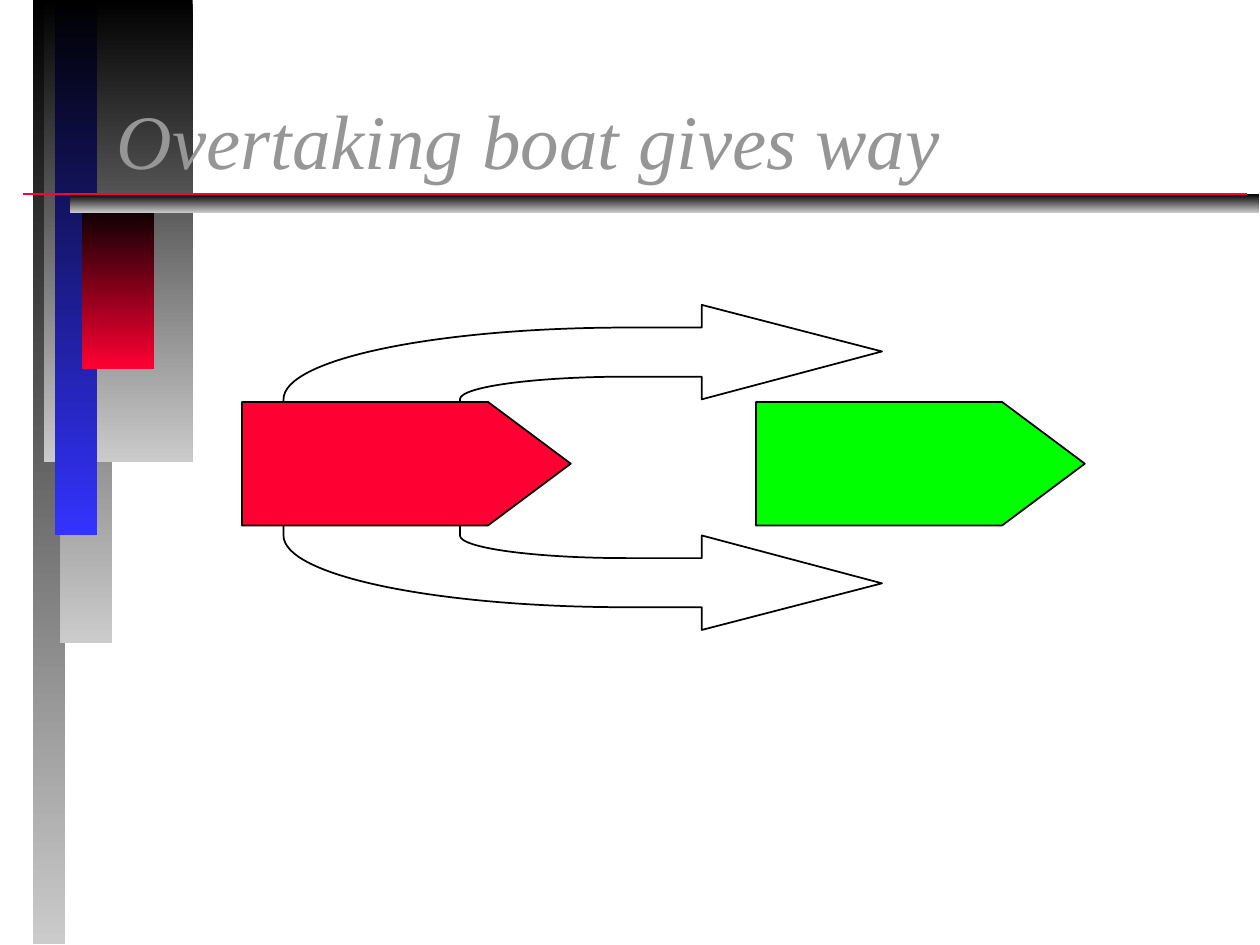
from dataclasses import dataclass

from lxml import etree
from pptx import Presentation
from pptx import util as u
from pptx.dml.color import RGBColor
from pptx.enum import shapes, text
from pptx.oxml.ns import qn
from pptx.slide import Slide


def colour(value):
    return RGBColor.from_string(value)


@dataclass
class SlidePainter:
    """Draws the elements of the current slide in one shared style."""

    slide: Slide
    font: str = "Times New Roman"
    outline: str = "000000"
    weight: float = 1

    def outlined(self, shape, fill):
        shape.shadow.inherit = False
        shape.fill.solid()
        shape.fill.fore_color.rgb = colour(fill)
        shape.line.color.rgb = colour(self.outline)
        shape.line.width = u.Pt(self.weight)

    def gradient_bar(self, box, end):
        bar = self.slide.shapes.add_shape(shapes.MSO_SHAPE.RECTANGLE, *map(u.Inches, box))
        bar.shadow.inherit = False
        bar.line.fill.background()
        bar.fill.gradient()
        bar.fill.gradient_angle = 270
        for stop, shade in zip(bar.fill.gradient_stops, ("000000", end)):
            stop.color.rgb = colour(shade)

    def rule(self, left, right, y, shade):
        ends = map(u.Inches, (left, y, right, y))
        line = self.slide.shapes.add_connector(shapes.MSO_CONNECTOR.STRAIGHT, *ends)
        line.line.color.rgb = colour(shade)
        line.line.width = u.Pt(self.weight)
        etree.SubElement(line._element.spPr, qn("a:effectLst"))

    def curved_arrow(self, points, curve_starts, fill):
        (x, y), *rest = [(u.Inches(px), u.Inches(py)) for px, py in points]
        builder = self.slide.shapes.build_freeform(x, y, scale=1.0)
        builder.add_line_segments(rest, close=True)
        arrow = builder.convert_to_shape()
        segments = list(arrow._element.iter(qn("a:lnTo")))
        for start in curve_starts:
            curve = etree.Element(qn("a:cubicBezTo"))
            segments[start].addprevious(curve)
            for segment in segments[start:start + 3]:
                curve.append(segment[0])
                segment.getparent().remove(segment)
        self.outlined(arrow, fill)

    def boat(self, left, fill):
        box = map(u.Inches, (left, 3.19, 2.61, 0.98))
        hull = self.slide.shapes.add_shape(shapes.MSO_SHAPE.PENTAGON, *box)
        hull.adjustments[0] = 0.67
        self.outlined(hull, fill)

    def title(self, box, wording, size, shade):
        frame = self.slide.shapes.add_textbox(*map(u.Inches, box)).text_frame
        frame.word_wrap = True
        frame.vertical_anchor = text.MSO_ANCHOR.BOTTOM
        heading = frame.paragraphs[0]
        heading.text = wording
        heading.font.name = self.font
        heading.font.size = u.Pt(size)
        heading.font.italic = True
        heading.font.color.rgb = colour(shade)


def main():
    deck = Presentation()
    deck.slide_width, deck.slide_height = u.Inches(10), u.Inches(7.5)
    painter = SlidePainter(deck.slides.add_slide(deck.slide_layouts[6]))

    grey, blue, red, green = "CBCBCB", "3333FF", "FF0033", "00FF00"
    bars = [
        ((0.26, 0, 0.26, 7.49), grey),
        ((0.48, 0, 0.41, 5.1), grey),
        ((0.35, 0, 1.18, 3.67), grey),
        ((0.44, 0, 0.33, 4.25), blue),
        ((0.65, 1.6, 0.57, 1.33), red),
        ((0.56, 1.54, 9.43, 0.15), grey),
    ]
    for box, end in bars:
        painter.gradient_bar(box, end)
    painter.rule(0.18, 9.9, 1.54, red)

    upper_route = [
        (2.25, 3.75), (2.25, 3.17),
        (2.25, 2.85), (3.47, 2.6), (4.98, 2.6),
        (5.57, 2.6), (5.57, 2.42), (7, 2.79), (5.57, 3.17), (5.57, 2.99), (4.98, 2.99),
        (4.25, 2.99), (3.65, 3.07), (3.65, 3.17),
        (3.65, 3.75),
    ]
    lower_route = [(x, 7.42 - y) for x, y in upper_route]
    for route in (upper_route, lower_route):
        painter.curved_arrow(route, (1, 10), "FFFFFF")

    painter.boat(6, green)
    painter.boat(1.92, red)
    painter.title((0.83, 0.25, 8.5, 1.27), "Overtaking boat gives way", 44, "969696")
    deck.save("out.pptx")


if __name__ == "__main__":
    main()
